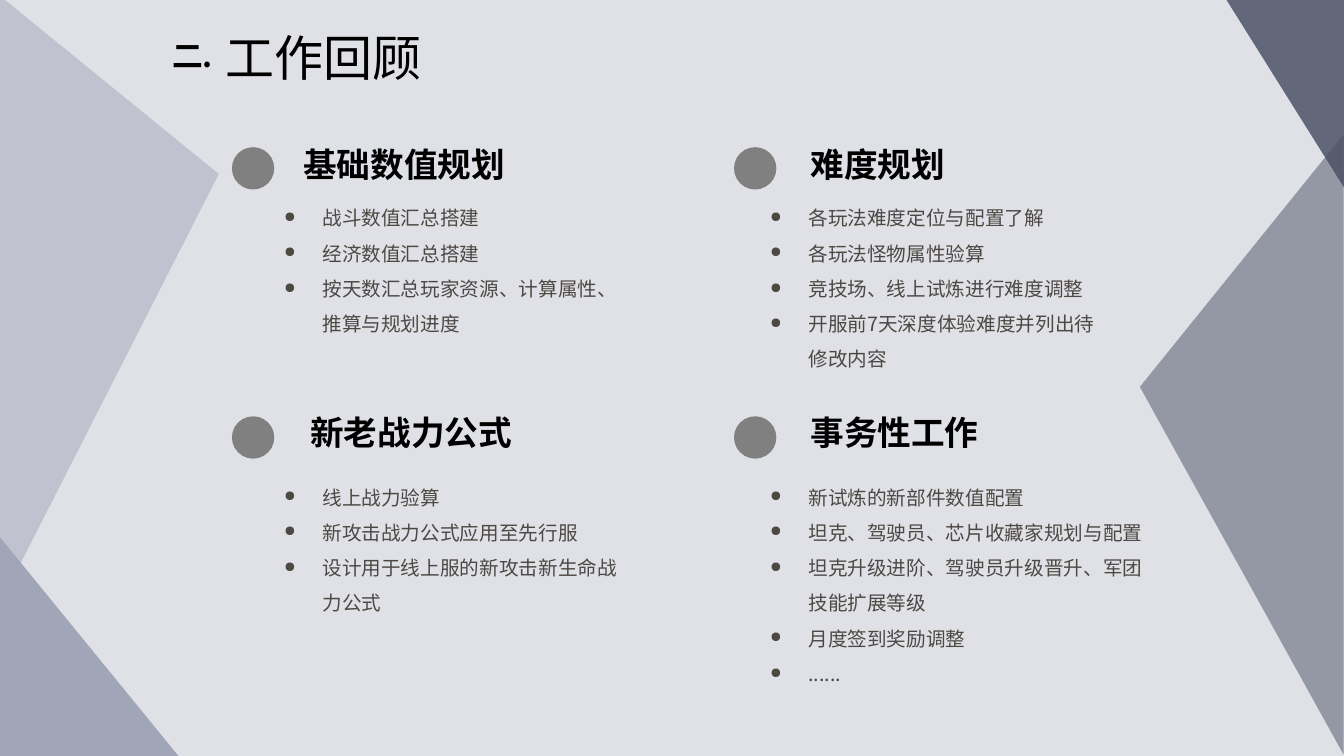
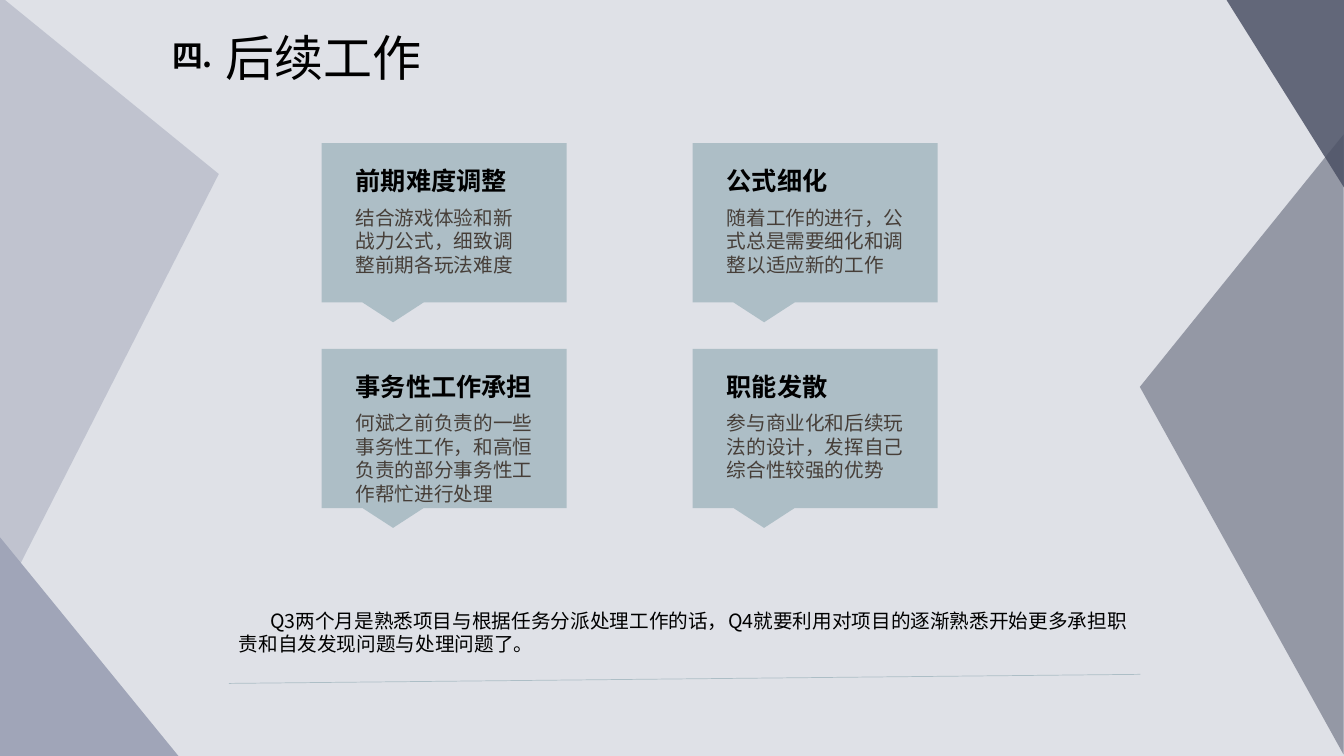
from itertools import product

from lxml.etree import SubElement
from pptx import Presentation
from pptx.dml.color import RGBColor
from pptx.enum.shapes import MSO_CONNECTOR, MSO_SHAPE
from pptx.enum.text import MSO_ANCHOR, MSO_AUTO_SIZE, PP_ALIGN
from pptx.oxml.ns import qn
from pptx.util import Inches, Pt

# Content
REVIEW = {
    "number": "二.",
    "title": "工作回顾",
    "topics": [  # heading, heading left, heading width, list width, points
        ("基础数值规划", 2.91, 2.2, 3.54,
         ["战斗数值汇总搭建", "经济数值汇总搭建",
          "按天数汇总玩家资源、计算属性、推算与规划进度"]),
        ("难度规划", 7.94, 1.53, 3.54,
         ["各玩法难度定位与配置了解", "各玩法怪物属性验算",
          "竞技场、线上试炼进行难度调整",
          "开服前7天深度体验难度并列出待修改内容"]),
        ("新老战力公式", 2.98, 2.2, 3.54,
         ["线上战力验算", "新攻击战力公式应用至先行服",
          "设计用于线上服的新攻击新生命战力公式"]),
        ("事务性工作", 7.94, 1.87, 3.9,
         ["新试炼的新部件数值配置", "坦克、驾驶员、芯片收藏家规划与配置",
          "坦克升级进阶、驾驶员升级晋升、军团技能扩展等级",
          "月度签到奖励调整", "......"]),
    ],
}
PLAN = {
    "number": "四.",
    "title": "后续工作",
    "cards": [  # heading, heading width, body width, body
        ("前期难度调整", 1.7, 1.94, "结合游戏体验和新战力公式，细致调整前期各玩法难度"),
        ("公式细化", 1.2, 2.08, "随着工作的进行，公式总是需要细化和调整以适应新的工作"),
        ("事务性工作承担", 1.95, 2.06,
         "何斌之前负责的一些事务性工作，和高恒负责的部分事务性工作帮忙进行处理"),
        ("职能发散", 1.2, 2.08, "参与商业化和后续玩法的设计，发挥自己综合性较强的优势"),
    ],
    "summary": "Q3两个月是熟悉项目与根据任务分派处理工作的话，"
               "Q4就要利用对项目的逐渐熟悉开始更多承担职责和自发发现问题与处理问题了。",
}

# Shared style
COLORS = {"back": "DFE1E7", "mist": "A0A5B8", "slate": "4B5064", "dot": "808080",
          "card": "ADBEC6", "ink": "000000", "point": "4E4843", "body": "463E38"}
FONT = "Noto Sans CJK SC"
STYLES = {  # font attributes and colour
    "title": ({"size": Pt(35), "bold": False}, "ink"),
    "number": ({"size": Pt(22), "bold": True}, "ink"),
    "topic": ({"size": Pt(24), "bold": True}, "ink"),
    "point": ({"size": Pt(14), "bold": False}, "point"),
    "card": ({"size": Pt(18), "bold": True}, "ink"),
    "body": ({"size": Pt(14), "bold": False}, "body"),
    "summary": ({"size": Pt(14), "bold": False}, "ink"),
}
CORNERS = [  # left, top, width, height, rotation, apex, colour, opacity
    (0, 5.33, 1.77, 2.17, 0, 0, "mist", 100),
    (12.14, -0.04, 1.19, 1.9, 180, 0, "slate", 84),
    (-1.93, 1.89, 6.03, 2.17, 90, 0.293, "mist", 49),
    (9.24, 3.4, 6.15, 2.02, 270, 0.593, "slate", 50),
]


def rgb(name):
    return RGBColor.from_string(COLORS[name])


def place(shape, box):
    for side, value in zip(("left", "top", "width", "height"), box):
        setattr(shape, side, Inches(value))


def add_filled(slide, kind, box, color, opacity=100):
    shape = slide.shapes.add_shape(kind, *map(Inches, box))
    shape.shadow.inherit = False
    shape.fill.solid()
    shape.fill.fore_color.rgb = rgb(color)
    shape.line.fill.background()
    if opacity < 100:
        tint = shape.fill._xPr.find(".//" + qn("a:srgbClr"))
        SubElement(tint, qn("a:alpha"), val=str(opacity * 1000))
    return shape


def write(shape, lines, style, wrap=True, **paragraph_format):
    frame = shape.text_frame
    for name, value in {"word_wrap": wrap, "auto_size": MSO_AUTO_SIZE.SHAPE_TO_FIT_TEXT,
                        "vertical_anchor": MSO_ANCHOR.TOP}.items():
        setattr(frame, name, value)
    font_format, color = STYLES[style]
    for index, line in enumerate(lines):
        paragraph = frame.add_paragraph() if index else frame.paragraphs[0]
        for name, value in {"alignment": PP_ALIGN.LEFT, **paragraph_format}.items():
            setattr(paragraph, name, value)
        run = paragraph.add_run()
        run.text = line
        for name, value in {"name": FONT, **font_format}.items():
            setattr(run.font, name, value)
        run.font.color.rgb = rgb(color)
        SubElement(run._r.get_or_add_rPr(), qn("a:ea"), typeface=FONT)
    return frame


def add_text(slide, box, lines, style, **text_format):
    return write(slide.shapes.add_textbox(*map(Inches, box)), lines, style, **text_format)


def indent(paragraph, first, left=0, bullet=None):
    properties = paragraph._p.get_or_add_pPr()
    properties.set("marL", str(Inches(left)))
    properties.set("indent", str(Inches(first)))
    if bullet:
        SubElement(properties, qn("a:buSzPct"), val="75000")
        SubElement(properties, qn("a:buChar"), char=bullet)


def add_slide(deck, content):
    slide = deck.slides.add_slide(deck.slide_layouts[5])
    for *box, rotation, apex, color, opacity in CORNERS:
        corner = add_filled(slide, MSO_SHAPE.ISOSCELES_TRIANGLE, box, color, opacity)
        corner.rotation = rotation
        corner.adjustments[0] = apex
    # Title box is wide enough to keep its text on one line
    place(slide.shapes.title, (2.14, 0.22, 4, 0.69))
    write(slide.shapes.title, [content["title"]], "title")
    add_text(slide, (1.61, 0.32, 0.6, 0.47), [content["number"]], "number")
    return slide


def build_review(deck):
    slide = add_slide(deck, REVIEW)
    rows = [(1.38, 1.46, 1.88), (4.04, 4.13, 4.65)]  # tops of heading, dot, list
    columns = [(2.3, 2.72), (7.28, 7.54)]  # lefts of dot, list
    for topic, (tops, lefts) in zip(REVIEW["topics"], product(rows, columns)):
        heading, heading_left, heading_width, list_width, points = topic
        heading_top, dot_top, list_top = tops
        dot_left, list_left = lefts
        add_filled(slide, MSO_SHAPE.OVAL, (dot_left, dot_top, 0.42, 0.42), "dot")
        add_text(slide, (heading_left, heading_top, heading_width, 0.5),
                 [heading], "topic", wrap=False)
        listing = add_text(slide, (list_left, list_top, list_width, 1.51),
                           points, "point", line_spacing=1.5)
        for paragraph in listing.paragraphs:
            indent(paragraph, -0.38, 0.38, "●")


def build_plan(deck):
    slide = add_slide(deck, PLAN)
    # Cards on a two by two grid
    for card, (top, left) in zip(PLAN["cards"], product((1.42, 3.46), (3.19, 6.87))):
        heading, heading_width, body_width, body = card
        add_filled(slide, MSO_SHAPE.RECTANGULAR_CALLOUT, (left, top, 2.43, 1.58), "card")
        text_left = left + 0.24
        add_text(slide, (text_left, top + 0.17, heading_width, 0.4),
                 [heading], "card", wrap=False)
        add_text(slide, (text_left, top + 0.57, body_width, 0.81), [body], "body")
    # Summary above a thin rule
    summary = add_text(slide, (2.27, 5.99, 9.04, 0.57), [PLAN["summary"]], "summary")
    indent(summary.paragraphs[0], 0.31)
    rule = slide.shapes.add_connector(MSO_CONNECTOR.STRAIGHT,
                                      *map(Inches, (2.27, 6.78, 11.31, 6.69)))
    rule.line.color.rgb = rgb("card")
    rule.line.width = Pt(0.5)
    SubElement(rule._element.spPr, qn("a:effectLst"))


def main():
    deck = Presentation()
    deck.slide_width, deck.slide_height = Inches(13.33), Inches(7.5)
    backdrop = deck.slide_master.background.fill
    backdrop.solid()
    backdrop.fore_color.rgb = rgb("back")
    build_review(deck)
    build_plan(deck)
    deck.save("out.pptx")


if __name__ == "__main__":
    main()
